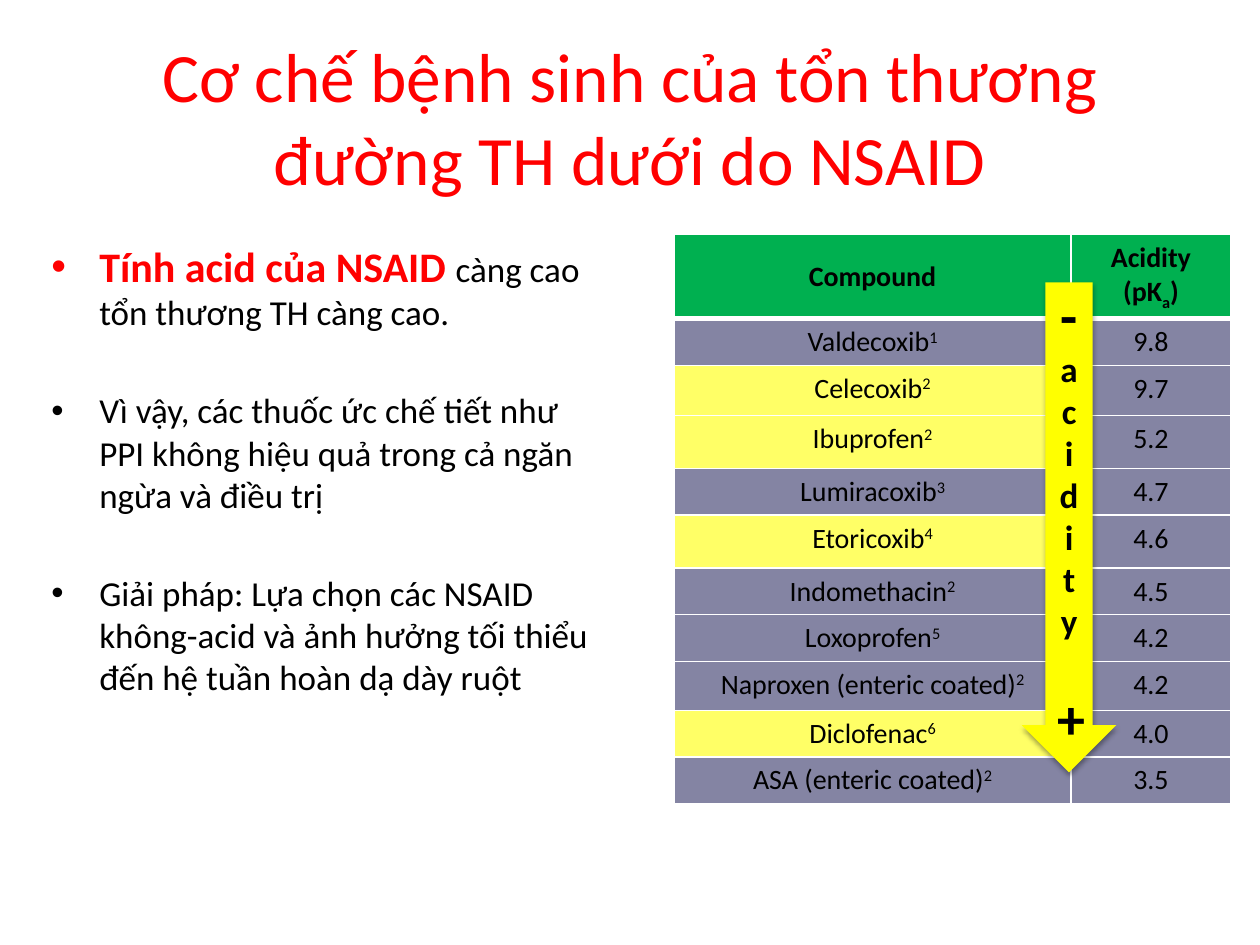
from lxml import etree
from pptx import Presentation
from pptx.dml.color import RGBColor
from pptx.enum import shapes, text
from pptx.oxml.ns import qn
from pptx.util import Inches, Pt

FONT = "Calibri"
BLACK, RED, GREEN, NAVY, YELLOW, WHITE = (
    "000000", "FF0000", "00B050", "333366", "FFFF00", "FFFFFF")

# Content: runs are (text, format)
TITLE = "Cơ chế bệnh sinh của tổn thương đường TH dưới do NSAID"
POINTS = [
    [("Tính acid của NSAID ", dict(size=24, color=RED, bold=True)),
     ("càng cao tổn thương TH càng cao.", {})],
    [("Vì vậy, các thuốc ức chế tiết như PPI không hiệu quả trong cả ngăn ngừa và điều trị", {})],
    [("Giải pháp: Lựa chọn các NSAID không-acid và ảnh hưởng tối thiểu đến hệ tuần hoàn dạ dày ruột", {})],
]
# compound, reference, pKa, row height, highlighted
COMPOUNDS = [
    ("Valdecoxib", "1", "9.8", 0.37, False),
    ("Celecoxib", "2", "9.7", 0.40, True),
    ("Ibuprofen", "2", "5.2", 0.42, True),
    ("Lumiracoxib", "3", "4.7", 0.37, False),
    ("Etoricoxib", "4", "4.6", 0.42, True),
    ("Indomethacin", "2", "4.5", 0.37, False),
    ("Loxoprofen", "5", "4.2", 0.37, False),
    ("Naproxen (enteric coated)", "2", "4.2", 0.39, False),
    ("Diclofenac", "6", "4.0", 0.37, True),
    ("ASA (enteric coated)", "2", "3.5", 0.37, False),
]
HEADER_HEIGHT = 0.67
COLUMN_WIDTHS = [3.15, 1.27]
# paragraph text, size, space before
ARROW_LINES = [("-", 32, 0), ("acidi ty", 20, 0), ("+", 32, 24)]


def rgb(color):
    return RGBColor.from_string(color)


def add_runs(paragraph, runs, **defaults):
    for words, changes in runs:
        style = {**defaults, **changes}
        run = paragraph.add_run()
        run.text = words
        font = run.font
        font.name = FONT
        font.size = Pt(style["size"])
        font.bold = style.get("bold", False)
        font.color.rgb = rgb(style.get("color", BLACK))
        if "base" in style:
            font._element.set("baseline", str(style["base"] * 1000))


def add_text(slide, left, top, width, height):
    frame = slide.shapes.add_textbox(
        Inches(left), Inches(top), Inches(width), Inches(height)).text_frame
    frame.word_wrap = True
    return frame


def set_alpha(parent, percent):
    color = next(parent.iter(qn("a:srgbClr")))
    etree.SubElement(color, qn("a:alpha")).set("val", str(percent * 1000))


def set_borders(cell, top, bottom):
    properties = cell._tc.get_or_add_tcPr()
    widths = [("L", 1), ("R", 1), ("T", top), ("B", bottom)]
    for place, (side, width) in enumerate(widths):
        line = etree.Element(qn(f"a:ln{side}"), w=str(Pt(width)))
        fill = etree.SubElement(line, qn("a:solidFill"))
        etree.SubElement(fill, qn("a:srgbClr"), val=WHITE)
        properties.insert(place, line)


def fill_cell(cell, runs, color, alpha=None, bold=False, top=1, bottom=1):
    cell.margin_left = cell.margin_right = Inches(0.23)
    cell.margin_top = cell.margin_bottom = Inches(0.05)
    paragraph = cell.text_frame.paragraphs[0]
    paragraph.alignment = text.PP_ALIGN.CENTER
    add_runs(paragraph, runs, size=16, bold=bold)
    cell.fill.solid()
    cell.fill.fore_color.rgb = rgb(color)
    if alpha:
        set_alpha(cell._tc.tcPr, alpha)
    set_borders(cell, top, bottom)


def add_title(slide):
    frame = add_text(slide, 0.5, 0.3, 9, 1.25)
    frame.vertical_anchor = text.MSO_ANCHOR.MIDDLE
    frame.paragraphs[0].alignment = text.PP_ALIGN.CENTER
    add_runs(frame.paragraphs[0], [(TITLE, {})], size=39.6, color=RED)


def add_points(slide):
    frame = add_text(slide, 0.31, 1.86, 4.53, 4.69)
    for number, runs in enumerate(POINTS):
        paragraph = frame.add_paragraph() if number else frame.paragraphs[0]
        properties = paragraph._p.get_or_add_pPr()
        properties.set("marL", str(Inches(0.38)))
        properties.set("indent", str(-Inches(0.38)))
        etree.SubElement(properties, qn("a:buFont"), typeface="Arial")
        etree.SubElement(properties, qn("a:buChar"), char="•")
        if number:
            paragraph.space_before = Pt(32)
        add_runs(paragraph, runs, size=20)


def add_compounds(slide):
    heights = [HEADER_HEIGHT] + [row[3] for row in COMPOUNDS]
    table = slide.shapes.add_table(
        len(heights), 2, Inches(5.35), Inches(1.86),
        Inches(sum(COLUMN_WIDTHS)), Inches(sum(heights))).table
    for column, width in zip(table.columns, COLUMN_WIDTHS):
        column.width = Inches(width)
    for row, height in zip(table.rows, heights):
        row.height = Inches(height)

    headings = [[("Compound", {})],
                [("Acidity (pK", {}), ("a", dict(base=-25)), (")", {})]]
    for column, runs in enumerate(headings):
        cell = table.cell(0, column)
        fill_cell(cell, runs, GREEN, bold=True, bottom=3)
        cell.vertical_anchor = text.MSO_ANCHOR.MIDDLE

    for row, (name, reference, pka, _, highlighted) in enumerate(COMPOUNDS, 1):
        top = 3 if row == 1 else 1
        fill_cell(table.cell(row, 0), [(name, {}), (reference, dict(base=30))],
                  YELLOW if highlighted else NAVY, 60, top=top)
        fill_cell(table.cell(row, 1), [(pka, {})], NAVY, 60, top=top)


def add_acidity_arrow(slide):
    arrow = slide.shapes.add_shape(
        shapes.MSO_SHAPE.DOWN_ARROW,
        Inches(8.11), Inches(2.24), Inches(0.75), Inches(3.89))
    arrow.fill.solid()
    arrow.fill.fore_color.rgb = rgb(YELLOW)
    arrow.line.fill.background()
    # Soft shadow below
    arrow.shadow.inherit = False
    effects = arrow._element.spPr.find(qn("a:effectLst"))
    shadow = etree.SubElement(
        effects, qn("a:outerShdw"), blurRad=str(Pt(3.1)), dist=str(Pt(1.8)),
        dir="5400000", rotWithShape="0")
    etree.SubElement(shadow, qn("a:srgbClr"), val=BLACK)
    set_alpha(shadow, 35)

    frame = arrow.text_frame
    frame.word_wrap = True
    frame.vertical_anchor = text.MSO_ANCHOR.MIDDLE
    for number, (words, size, gap) in enumerate(ARROW_LINES):
        paragraph = frame.add_paragraph() if number else frame.paragraphs[0]
        paragraph.alignment = text.PP_ALIGN.CENTER
        if gap:
            paragraph.space_before = Pt(gap)
        add_runs(paragraph, [(words, {})], size=size, bold=True)


def main():
    deck = Presentation()
    deck.slide_width, deck.slide_height = Inches(10), Inches(7.5)
    slide = deck.slides.add_slide(deck.slide_layouts[6])
    add_title(slide)
    add_points(slide)
    add_compounds(slide)
    add_acidity_arrow(slide)
    deck.save("out.pptx")


if __name__ == "__main__":
    main()
